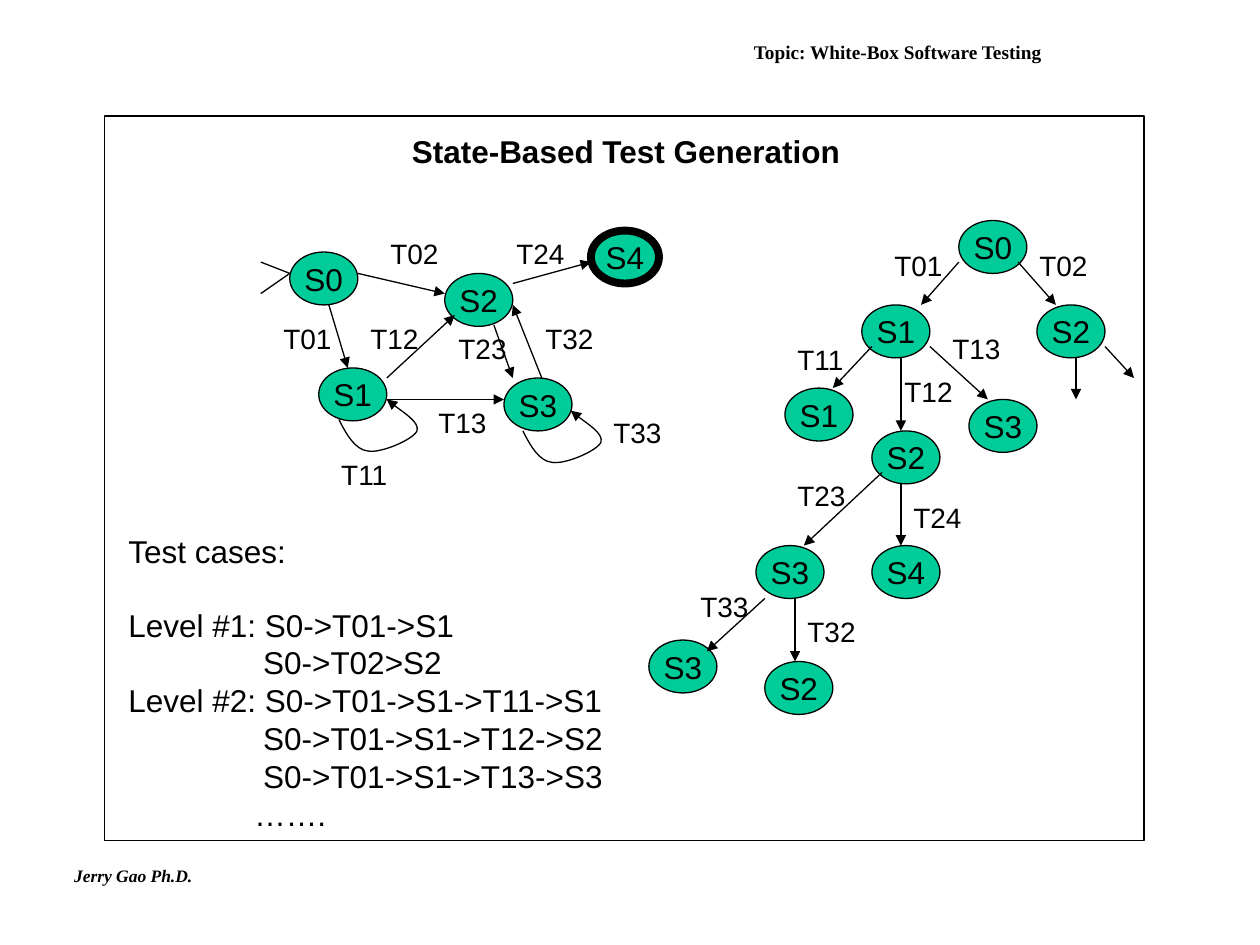
from lxml import etree
from pptx import Presentation
from pptx import util as u
from pptx.dml.color import RGBColor
from pptx.enum import shapes, text
from pptx.oxml.ns import qn

COLORS = {"ink": "000000", "state": "00CC99"}
SANS, SERIF = "Arial", "Times New Roman"
LEFT, CENTER = text.PP_ALIGN.LEFT, text.PP_ALIGN.CENTER

GRAPH = [("S0", 2.3, 2), ("S1", 2.53, 2.92), ("S2", 3.53, 2.17),
         ("S4", 4.69, 1.83), ("S3", 4, 3)]
TREE = [("S0", 7.61, 1.75), ("S1", 6.84, 2.42), ("S2", 8.23, 2.42),
        ("S1", 6.23, 3.08), ("S2", 6.92, 3.42), ("S3", 7.69, 3.17),
        ("S3", 6, 4.33), ("S4", 6.92, 4.33),
        ("S3", 5.15, 5.08), ("S2", 6.07, 5.25)]
ENTRY = [(2.07, 2.08, 2.3, 2.17), (2.07, 2.33, 2.3, 2.17)]
ARROWS = [
    (2.84, 2.17, 3.53, 2.33), (3.92, 2.58, 4.07, 3), (2.61, 2.42, 2.76, 2.92),
    (3.07, 3.17, 4, 3.17), (3.07, 3, 3.61, 2.5), (4.07, 2.25, 4.69, 2.08),
    (4.3, 3, 4.07, 2.42),
    (7.61, 2.08, 7.31, 2.42), (8.08, 2.08, 8.38, 2.42),
    (6.92, 2.75, 6.61, 3.08), (7.15, 2.83, 7.15, 3.42),
    (7.38, 2.75, 7.84, 3.17), (8.77, 2.75, 9, 3), (8.54, 2.83, 8.54, 3.17),
    (7.15, 3.83, 7.15, 4.33), (7, 3.75, 6.38, 4.33),
    (6.07, 4.75, 5.61, 5.17), (6.31, 4.75, 6.31, 5.25),
]
LABELS = [
    ("T02", 3, 1.83), ("T01", 2.15, 2.5), ("T24", 4, 1.83), ("T32", 4.23, 2.5),
    ("T12", 2.84, 2.5), ("T13", 3.38, 3.17), ("T33", 4.77, 3.25),
    ("T23", 3.54, 2.58), ("T11", 2.61, 3.58),
    ("T01", 7, 1.92), ("T02", 8.15, 1.92), ("T11", 6.23, 2.67),
    ("T12", 7.08, 2.92), ("T13", 7.46, 2.58), ("T23", 6.23, 3.75),
    ("T24", 7.15, 3.92), ("T33", 5.46, 4.63), ("T32", 6.31, 4.83),
]
LOOPS = [(2.69, 3.33), (4.15, 3.42)]
BENDS = [(0.06, 0.12), (0.13, 0.24), (0.23, 0.25),
         (0.33, 0.27), (0.59, 0.16), (0.62, 0.09),
         (0.64, 0.02), (0.42, -0.12), (0.38, -0.16)]
CASES = [
    ("Test cases:", 0), ("Level #1: S0->T01->S1", 0), ("S0->T02>S2", 1.07),
    ("Level #2: S0->T01->S1->T11->S1", 0), ("S0->T01->S1->T12->S2", 1.07),
    ("S0->T01->S1->T13->S3", 1.07), ("…….", 1),
]


def color(name):
    return RGBColor.from_string(COLORS[name])


def write(frame, lines, size, font=SANS, bold=False, slant=False, align=LEFT):
    frame.text = "\n".join(lines)
    for para in frame.paragraphs:
        para.alignment = align
        for run in para.runs:
            run.font.size = u.Pt(size)
            run.font.name = font
            run.font.bold = bold
            run.font.italic = slant
            run.font.color.rgb = color("ink")


def add_text(slide, lines, x, y, w, h, size, wrap=True, **style):
    frame = slide.shapes.add_textbox(*map(u.Inches, (x, y, w, h))).text_frame
    write(frame, lines, size, **style)
    frame.word_wrap = wrap
    return frame


def ink_line(shape, width=0.75):
    shape.line.color.rgb = color("ink")
    shape.line.width = u.Pt(width)


def add_tip(shape):
    line = shape.line._get_or_add_ln()
    etree.SubElement(line, qn("a:tailEnd"), type="triangle")


def add_state(slide, name, x, y, width=0.75):
    oval = slide.shapes.add_shape(shapes.MSO_SHAPE.OVAL,
                                  *map(u.Inches, (x, y, 0.54, 0.42)))
    oval.shadow.inherit = False
    oval.fill.solid()
    oval.fill.fore_color.rgb = color("state")
    ink_line(oval, width)
    frame = oval.text_frame
    write(frame, [name], 18, align=CENTER)
    frame.word_wrap = False
    frame.vertical_anchor = text.MSO_ANCHOR.MIDDLE


def add_line(slide, ends, tip=True):
    line = slide.shapes.add_connector(shapes.MSO_CONNECTOR.STRAIGHT,
                                      *map(u.Inches, ends))
    ink_line(line)
    if tip:
        add_tip(line)
    etree.SubElement(line._element.spPr, qn("a:effectLst"))


def add_loop(slide, x, y):
    pen = slide.shapes.build_freeform(u.Inches(x), u.Inches(y))
    pen.add_line_segments([(u.Inches(x + dx), u.Inches(y + dy))
                           for dx, dy in BENDS], close=False)
    loop = pen.convert_to_shape()
    loop.shadow.inherit = False
    loop.fill.background()
    ink_line(loop)
    add_tip(loop)
    route = loop._element.find(".//" + qn("a:path"))
    steps = route.findall(qn("a:lnTo"))
    for start in range(0, len(steps), 3):
        curve = etree.SubElement(route, qn("a:cubicBezTo"))
        for step in steps[start:start + 3]:
            curve.append(step[0])
            route.remove(step)


def add_cases(slide):
    frame = add_text(slide, [line for line, _ in CASES],
                     0.92, 4.17, 3.98, 2.5, 18)
    for para, (_, indent) in zip(frame.paragraphs, CASES):
        para._p.get_or_add_pPr().set("marL", str(u.Inches(indent)))
    frame.paragraphs[0].space_after = u.Pt(20.7)


def add_frame(slide):
    box = slide.shapes.add_shape(shapes.MSO_SHAPE.RECTANGLE,
                                 *map(u.Inches, (0.83, 0.92, 8.25, 5.75)))
    box.shadow.inherit = False
    box.fill.background()
    ink_line(box)


def main():
    deck = Presentation()
    deck.slide_width, deck.slide_height = u.Inches(10), u.Inches(7.5)
    slide = deck.slides.add_slide(deck.slide_layouts[6])
    add_text(slide, ["State-Based Test Generation"], 3.17, 1, 3.62, 0.4, 18,
             wrap=False, bold=True)
    for name, x, y in GRAPH:
        add_state(slide, name, x, y, 4.5 if name == "S4" else 0.75)
    for name, x, y in TREE:
        add_state(slide, name, x, y)
    for ends in ENTRY:
        add_line(slide, ends, tip=False)
    for ends in ARROWS:
        add_line(slide, ends)
    for x, y in LOOPS:
        add_loop(slide, x, y)
    for name, x, y in LABELS:
        add_text(slide, [name], x, y, 0.58, 0.37, 16, wrap=False)
    add_cases(slide)
    add_text(slide, ["Jerry Gao Ph.D."], 0.49, 6.82, 1.2, 0.27, 10,
             font=SERIF, bold=True, slant=True)
    add_frame(slide)
    topic = add_text(slide, ["Topic: White-Box Software Testing"],
                     5.25, 0.33, 3.75, 0.17, 11,
                     font=SERIF, bold=True, align=CENTER)
    topic.vertical_anchor = text.MSO_ANCHOR.MIDDLE
    deck.save("out.pptx")


if __name__ == "__main__":
    main()
